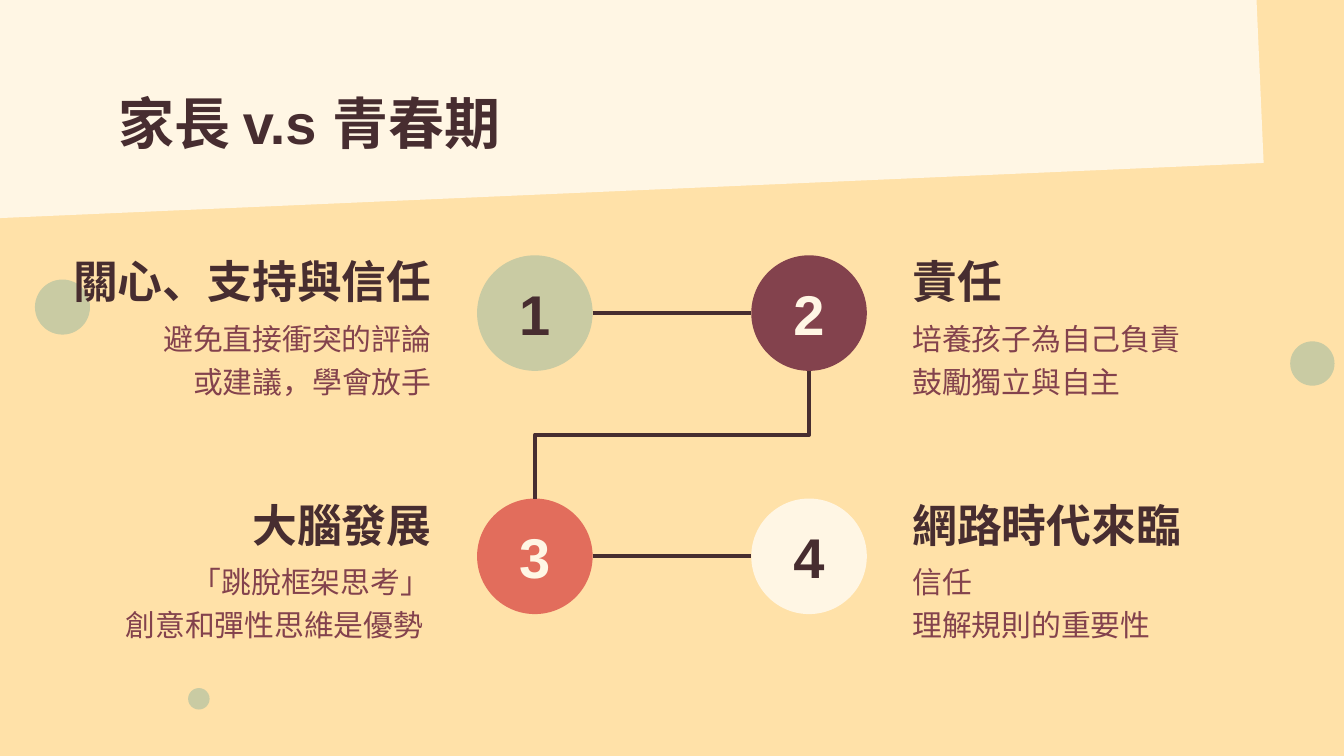
from lxml import etree
from pptx import Presentation
from pptx.dml.color import RGBColor
from pptx.enum.shapes import MSO_CONNECTOR, MSO_SHAPE
from pptx.enum.text import MSO_ANCHOR, MSO_AUTO_SIZE, PP_ALIGN
from pptx.oxml.ns import qn
from pptx.util import Inches, Pt

LEFT, CENTER, RIGHT = PP_ALIGN.LEFT, PP_ALIGN.CENTER, PP_ALIGN.RIGHT
TOP, MIDDLE = MSO_ANCHOR.TOP, MSO_ANCHOR.MIDDLE
OVAL, RECTANGLE = MSO_SHAPE.OVAL, MSO_SHAPE.RECTANGLE
STRAIGHT, ELBOW = MSO_CONNECTOR.STRAIGHT, MSO_CONNECTOR.ELBOW

COLORS = {
    "sand": "FFE1A8",
    "cream": "FFF6E4",
    "sage": "C9CBA3",
    "dark": "472D30",
    "wine": "83424D",
    "coral": "E26D5C",
}
COLORS = {name: RGBColor.from_string(value) for name, value in COLORS.items()}

HEADING = {"size": Pt(24), "name": "Arial", "bold": True}
BODY = {"size": Pt(16), "name": "Lato", "bold": False}
LARGE = {"size": Pt(30), "name": "Arial", "bold": True}


def add_plain_shape(page, kind, left, top, width, height, color):
    """Add a filled shape without outline or shadow."""
    shape = page.shapes.add_shape(
        kind, Inches(left), Inches(top), Inches(width), Inches(height))
    shape.shadow.inherit = False
    shape.fill.solid()
    shape.fill.fore_color.rgb = COLORS[color]
    shape.line.fill.background()
    return shape


def write_text(box, lines, font, color, align, anchor=TOP, spacing=1.0):
    """Fill a shape with one paragraph per line."""
    frame = box.text_frame
    frame.word_wrap = True
    frame.auto_size = MSO_AUTO_SIZE.NONE
    frame.vertical_anchor = anchor
    for side in ("left", "right", "top", "bottom"):
        setattr(frame, f"margin_{side}", Inches(0.1))
    for number, line in enumerate(lines):
        para = frame.add_paragraph() if number else frame.paragraphs[0]
        para.alignment = align
        para.line_spacing = spacing
        span = para.add_run()
        span.text = line
        for key, value in font.items():
            setattr(span.font, key, value)
        span.font.color.rgb = COLORS[color]


deck = Presentation()
deck.slide_width = Inches(10)
deck.slide_height = Inches(10 * 9 / 16)
page = deck.slides.add_slide(deck.slide_layouts[5])
page.background.fill.solid()
page.background.fill.fore_color.rgb = COLORS["sand"]

# Tilted banner and loose dots
banner = add_plain_shape(page, RECTANGLE, -0.11, -0.29, 9.48, 1.71, "cream")
banner.rotation = 357.5
for left, top, size in [(9.6, 2.54, 0.33), (1.4, 5.12, 0.16), (0.26, 2.08, 0.41)]:
    add_plain_shape(page, OVAL, left, top, size, size, "sage")

# Title, brought in front of the banner
title = page.shapes.title
title.element.getparent().append(title.element)
title.left, title.top = Inches(0.78), Inches(0.59)
title.width, title.height = Inches(8.44), Inches(0.63)
write_text(title, ["家長 v.s 青春期"], LARGE, "dark", LEFT, MIDDLE)

# Numbered circles on a two by two grid
DIAMETER = 0.86
COLUMNS, ROWS = (3.55, 5.59), (1.9, 3.71)
circles = [("sage", "dark"), ("wine", "cream"), ("coral", "cream"), ("cream", "dark")]
for index, (fill, ink) in enumerate(circles):
    circle = add_plain_shape(
        page, OVAL, COLUMNS[index % 2], ROWS[index // 2], DIAMETER, DIAMETER, fill)
    write_text(circle, [str(index + 1)], LARGE, ink, CENTER, MIDDLE)

# Connectors: one along each row, and an elbow from circle 2 down to circle 3
middle_x = (sum(COLUMNS) + DIAMETER) / 2
middle_y = (sum(ROWS) + DIAMETER) / 2
half_span = (COLUMNS[1] - COLUMNS[0]) / 2
half_gap = (ROWS[1] - ROWS[0] - DIAMETER) / 2
links = [
    (STRAIGHT, COLUMNS[0] + DIAMETER, row + DIAMETER / 2, COLUMNS[1], row + DIAMETER / 2)
    for row in ROWS
]
links.append((ELBOW, middle_x - half_gap, middle_y - half_span,
              middle_x + half_gap, middle_y + half_span))
for kind, *ends in links:
    link = page.shapes.add_connector(kind, *[Inches(value) for value in ends])
    link.line.color.rgb = COLORS["dark"]
    link.line.width = Pt(2.25)
    properties = link.element.spPr
    etree.SubElement(properties, qn("a:effectLst"))
    if kind == ELBOW:  # a quarter turn makes it leave and arrive vertically
        properties.find(qn("a:xfrm")).set("rot", "5400000")

# Heading and body beside each circle: row, alignment, (left, width) of each, text
topics = [
    (0, RIGHT, (0.41, 2.9), (0.98, 2.33), "關心、支持與信任",
     ["避免直接衝突的評論或建議，學會放手"]),
    (0, LEFT, (6.69, 2.33), (6.69, 2.33), "責任",
     ["培養孩子為自己負責", "鼓勵獨立與自主"]),
    (1, RIGHT, (0.98, 2.33), (0.82, 2.48), "大腦發展",
     ["「跳脫框架思考」", "創意和彈性思維是優勢 "]),
    (1, LEFT, (6.69, 2.33), (6.69, 2.33), "網路時代來臨",
     ["信任", "理解規則的重要性"]),
]
for row, align, heading_place, body_place, heading, body in topics:
    top = ROWS[row] - 0.11
    for (left, width), offset, height, lines, font, color, spacing in [
        (heading_place, 0, 0.45, [heading], HEADING, "dark", 1.0),
        (body_place, 0.44, 0.63, body, BODY, "wine", 1.2),
    ]:
        box = page.shapes.add_textbox(
            Inches(left), Inches(top + offset), Inches(width), Inches(height))
        write_text(box, lines, font, color, align, spacing=spacing)

deck.save("out.pptx")
